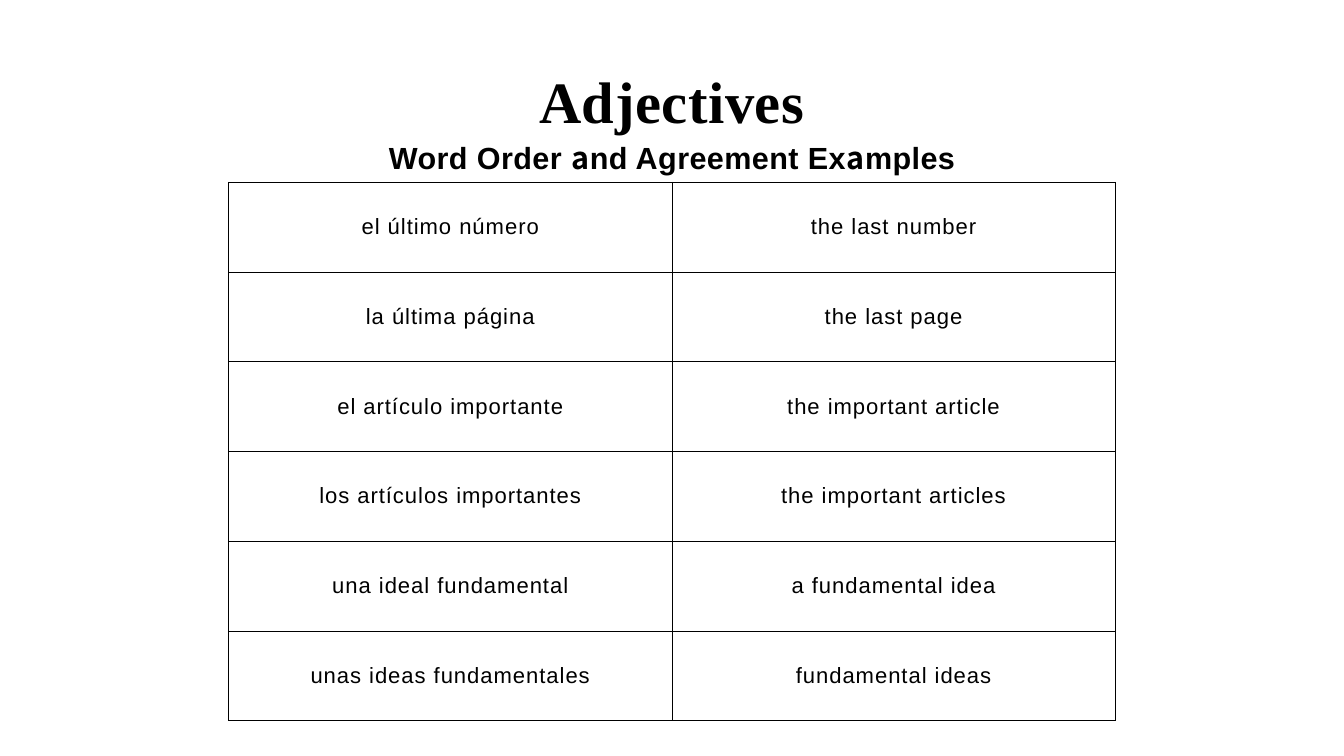
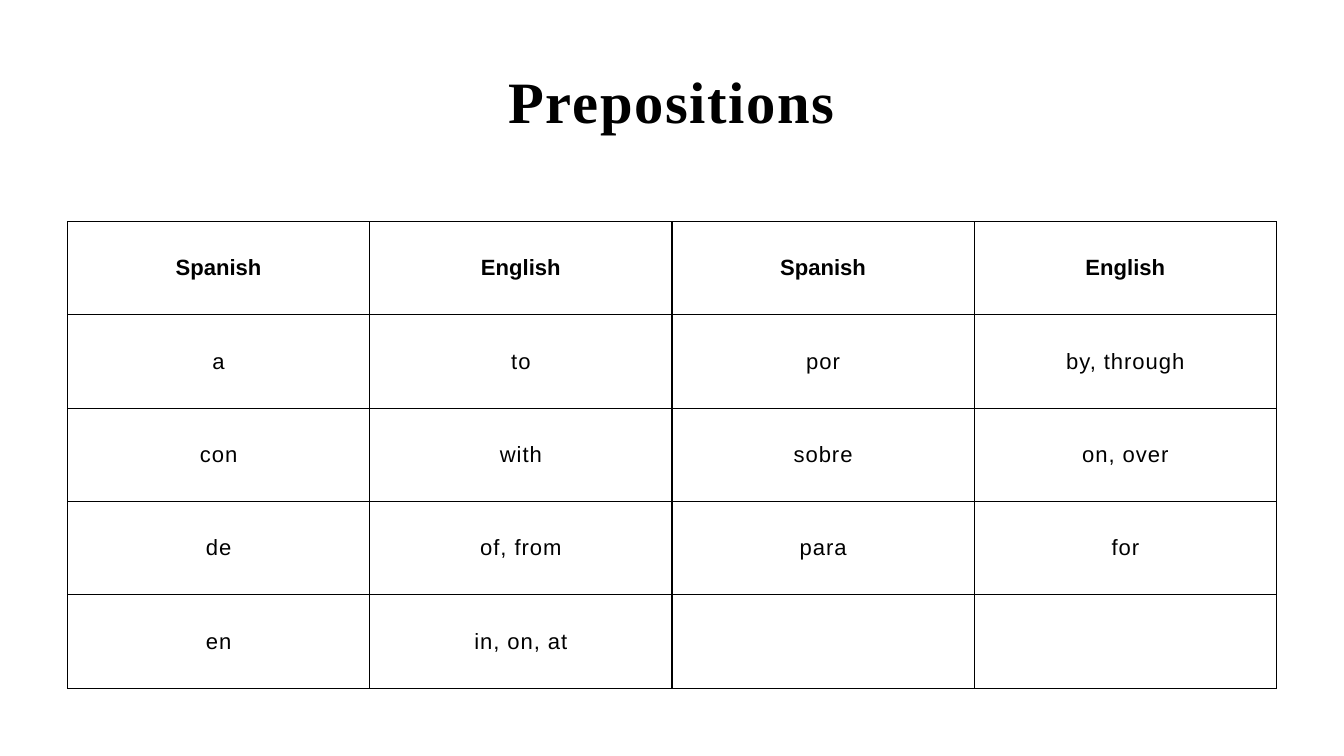
"""Build two Spanish grammar slides: adjective examples and a preposition table."""
from lxml.etree import SubElement
from pptx import Presentation
from pptx.dml.color import RGBColor
from pptx.enum.text import MSO_ANCHOR as Anchor, PP_ALIGN as Align
from pptx.oxml.ns import qn
from pptx.util import Cm, Pt

COLOURS = {"ink": "000000", "paper": "FFFFFF"}
TITLE_FONT, BODY_FONT, ACCENT_FONT = "Times New Roman", "Arial", "Noto Sans CJK JP"
SLIDE_WIDTH, SLIDE_HEIGHT = 55.85, 31.42


def write_line(frame, parts, size, spacing, bold):
    """Write one centred line from (text, font) parts into a text frame."""
    frame.margin_left = frame.margin_right = frame.margin_top = frame.margin_bottom = 0
    paragraph = frame.paragraphs[0]
    paragraph.alignment = Align.CENTER
    paragraph.font.size = Pt(size)
    paragraph.font.bold = bold
    paragraph.font.color.rgb = RGBColor.from_string(COLOURS["ink"])
    for text, font_name in parts:
        run = paragraph.add_run()
        run.text = text
        run.font.name = font_name
        run._r.get_or_add_rPr().set("spc", str(round(spacing * 100)))


def draw_border(cell, side, width):
    """Draw one side of a table cell; sides go in the order L, R, T, B."""
    line = SubElement(cell._tc.get_or_add_tcPr(), qn(f"a:ln{side}"), w=str(Pt(width)))
    fill = SubElement(line, qn("a:solidFill"))
    SubElement(fill, qn("a:srgbClr"), val=COLOURS["ink"])


adjective_rows = [
    ("el último número", "the last number"),
    ("la última página", "the last page"),
    ("el artículo importante", "the important article"),
    ("los artículos importantes", "the important articles"),
    ("una ideal fundamental", "a fundamental idea"),
    ("unas ideas fundamentales", "fundamental ideas"),
]
preposition_rows = [
    ("Spanish", "English", "Spanish", "English"),
    ("a", "to", "por", "by, through"),
    ("con", "with", "sobre", "on, over"),
    ("de", "of, from", "para", "for"),
    ("en", "in, on, at", "", ""),
]
subtitle_parts = [
    ("Word Order ", BODY_FONT),
    ("a", ACCENT_FONT),
    ("nd Agreement Ex", BODY_FONT),
    ("a", ACCENT_FONT),
    ("mples", BODY_FONT),
]
pages = [
    {"title": "Adjectives", "title_spacing": 0.7, "subtitle": subtitle_parts,
     "rows": adjective_rows, "top": 7.57, "column_width": 18.42, "row_height": 3.73,
     "has_header": False, "divider": None},
    {"title": "Prepositions", "title_spacing": 2, "subtitle": [],
     "rows": preposition_rows, "top": 9.2, "column_width": 12.56, "row_height": 3.88,
     "has_header": True, "divider": 2},
]

presentation = Presentation()
presentation.slide_width = Cm(SLIDE_WIDTH)
presentation.slide_height = Cm(SLIDE_HEIGHT)

for page in pages:
    slide = presentation.slides.add_slide(presentation.slide_layouts[6])
    slide.background.fill.solid()
    slide.background.fill.fore_color.rgb = RGBColor.from_string(COLOURS["paper"])

    title = slide.shapes.add_textbox(0, Cm(2.69), Cm(SLIDE_WIDTH), Cm(2.8))
    title.text_frame.word_wrap = True
    write_line(title.text_frame, [(page["title"], TITLE_FONT)], 69, page["title_spacing"], True)

    if page["subtitle"]:
        subtitle = slide.shapes.add_textbox(0, Cm(5.3), Cm(SLIDE_WIDTH), Cm(2))
        subtitle.text_frame.word_wrap = True
        subtitle.text_frame.vertical_anchor = Anchor.BOTTOM
        write_line(subtitle.text_frame, page["subtitle"], 36, 0.5, True)

    rows = page["rows"]
    row_count, column_count = len(rows), len(rows[0])
    table_width = column_count * page["column_width"]
    table = slide.shapes.add_table(
        row_count, column_count, Cm((SLIDE_WIDTH - table_width) / 2), Cm(page["top"]),
        Cm(table_width), Cm(row_count * page["row_height"])).table
    table.first_row = page["has_header"]
    table.horz_banding = False

    for row_index, row in enumerate(rows):
        is_header = page["has_header"] and row_index == 0
        for column_index, text in enumerate(row):
            cell = table.cell(row_index, column_index)
            cell.vertical_anchor = Anchor.MIDDLE
            for side, edge in (("L", column_index), ("R", column_index + 1), ("T", None), ("B", None)):
                is_divider = edge is not None and edge == page["divider"]
                draw_border(cell, side, 2.25 if is_divider else 1)
            cell.fill.background()
            cell.margin_left = cell.margin_right = cell.margin_top = cell.margin_bottom = 0
            if text:
                write_line(cell.text_frame, [(text, BODY_FONT)], 26, 0 if is_header else 1.1, is_header)

presentation.save("out.pptx")
